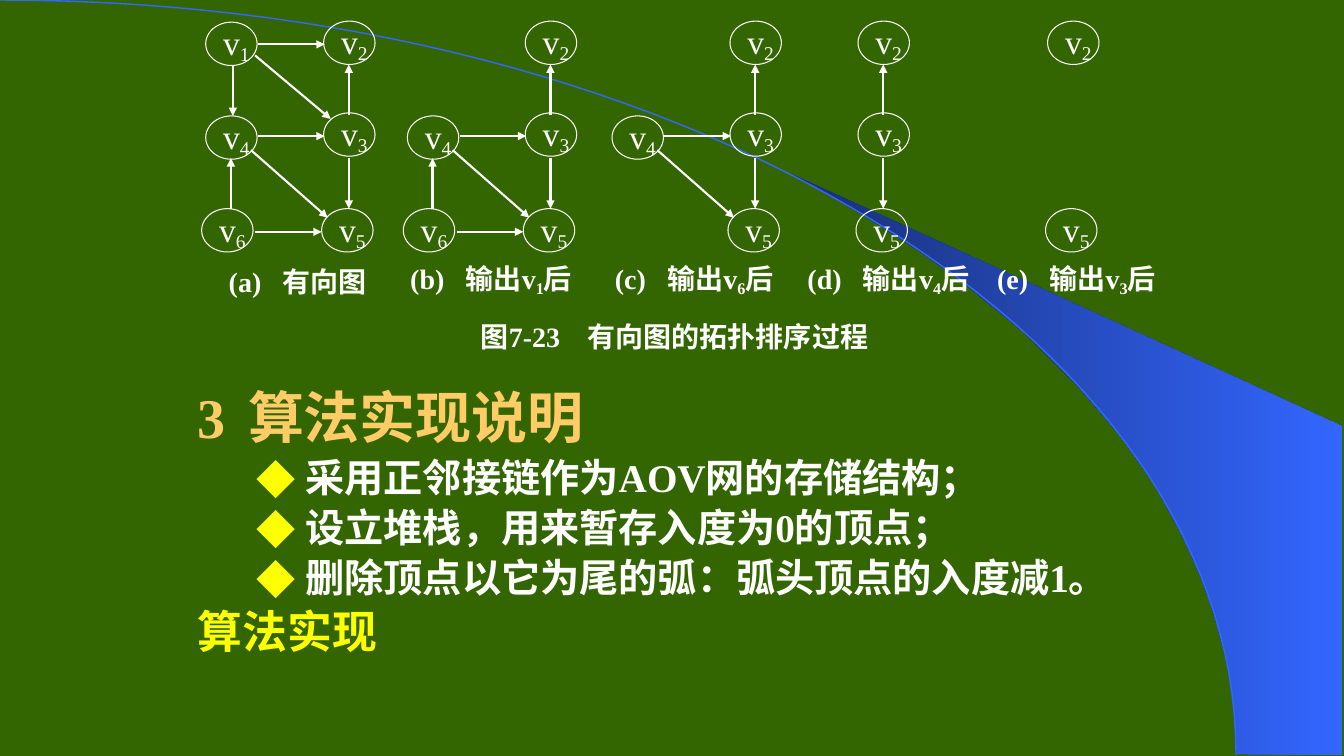
import pptx
import pptx.util
import pptx.dml.color
import pptx.enum.shapes
import pptx.enum.text
import pptx.oxml.xmlchemy

Inches = pptx.util.Inches
Pt = pptx.util.Pt
RGB = pptx.dml.color.RGBColor

GREEN = RGB(0x33, 0x66, 0x00)
NAVY = RGB(0x18, 0x2F, 0x76)
BLUE = RGB(0x33, 0x66, 0xFF)
WHITE = RGB(0xFF, 0xFF, 0xFF)
GOLD = RGB(0xFF, 0xCC, 0x66)
YELLOW = RGB(0xFF, 0xFF, 0x00)
FONT = "Times New Roman"
EAST = "Noto Sans CJK SC"

WEDGE = [(12.27, 7.48), (13.31, 7.49), (13.31, 4.23), (7.86, 1.73),
         (8.32, 1.99), (8.7, 2.22), (9.13, 2.5), (9.55, 2.8),
         (10.16, 3.3), (10.7, 3.84), (11.1, 4.31), (11.44, 4.79),
         (11.71, 5.28), (11.91, 5.72), (12.04, 6.09), (12.17, 6.56),
         (12.23, 6.96)]
CURVE = [(0, 0), (6.77, 0), (12.26, 3.35), (12.26, 7.49)]
STEPS = 60

NODES = {1: (0.04, 0.22), 2: (1.21, 0.21), 3: (1.21, 1.12),
         4: (0.04, 1.15), 5: (1.19, 2.07), 6: (0, 2.07)}
EDGES = {(1, 4): (0.31, 0.65, 0.31, 1.15), (3, 5): (1.46, 1.57, 1.46, 2.07),
         (6, 4): (0.29, 2.07, 0.29, 1.57), (3, 2): (1.46, 1.14, 1.46, 0.64),
         (6, 5): (0.53, 2.3, 1.19, 2.3), (1, 2): (0.56, 0.44, 1.22, 0.44),
         (1, 3): (0.53, 0.55, 1.28, 1.18), (4, 5): (0.49, 1.49, 1.25, 2.16),
         (4, 3): (0.56, 1.35, 1.22, 1.35)}
GRAPHS = [(2, (1, 2, 3, 4, 5, 6)), (4, (2, 3, 4, 5, 6)),
          (6.03, (2, 3, 4, 5)), (7.3, (2, 3, 5)), (9.18, (2, 5))]
LABELS = [(2.17, 2.62, 1.95, 0.53, ["(a)\t有向图"]),
          (3.97, 2.6, 1.95, 0.55, ["(b)\t输出v", "1", "后"]),
          (6, 2.6, 1.95, 0.52, ["(c)\t输出v", "6", "后"]),
          (7.91, 2.6, 1.95, 0.55, ["(d)\t输出v", "4", "后"]),
          (9.79, 2.6, 1.95, 0.52, ["(e)\t输出v", "3", "后"]),
          (4.67, 3.16, 4.25, 1.06, ["图7-23\t有向图的拓扑排序过程"])]
NOTES = [("3\t算法实现说明", 40, GOLD, False),
         ("采用正邻接链作为AOV网的存储结构；", 28, WHITE, True),
         ("设立堆栈，用来暂存入度为0的顶点；", 28, WHITE, True),
         ("删除顶点以它为尾的弧：弧头顶点的入度减1。", 28, WHITE, True),
         ("算法实现", 32, YELLOW, False)]


def add_xml(owner, tag, **attrs):
    item = pptx.oxml.xmlchemy.OxmlElement(tag)
    for key, value in attrs.items():
        item.set(key, str(value))
    owner.append(item)
    return item


def add_tab(para, pos):
    tabs = add_xml(para._p.get_or_add_pPr(), "a:tabLst")
    add_xml(tabs, "a:tab", pos=Inches(pos), algn="l")


def set_font(para, size, color, bold):
    font = para.font
    font.name, font.size, font.bold = FONT, Pt(size), bold
    font.color.rgb = color
    for run in para.runs:
        add_xml(run._r.get_or_add_rPr(), "a:ea", typeface=EAST)


def add_runs(para, parts):
    for index, part in enumerate(parts):
        run = para.add_run()
        run.text = part
        if index == 1:
            run.font._element.set("baseline", "-18000")


def add_free(shapes, points, close):
    spots = [(Inches(x), Inches(y)) for x, y in points]
    form = shapes.build_freeform(*spots[0])
    form.add_line_segments(spots[1:], close=close)
    shape = form.convert_to_shape()
    shape.shadow.inherit = False
    return shape


def curve_at(t):
    weights = ((1 - t) ** 3, 3 * t * (1 - t) ** 2, 3 * t * t * (1 - t), t ** 3)
    return tuple(sum(w * p[axis] for w, p in zip(weights, CURVE)) for axis in (0, 1))


def add_back(slide):
    fill = slide.background.fill
    fill.solid()
    fill.fore_color.rgb = GREEN
    wedge = add_free(slide.shapes, WEDGE, True)
    wedge.fill.gradient()
    wedge.fill.gradient_angle = 0
    for stop, color, pos in zip(wedge.fill.gradient_stops, (NAVY, BLUE), (0, 1)):
        stop.color.rgb = color
        stop.position = pos
    wedge.line.fill.background()
    arc = add_free(slide.shapes, [curve_at(i / STEPS) for i in range(STEPS + 1)], False)
    arc.fill.background()
    arc.line.color.rgb = BLUE
    arc.line.width = Pt(1)


def add_node(shapes, name, x, y):
    node = shapes.add_shape(pptx.enum.shapes.MSO_SHAPE.OVAL,
                            Inches(x), Inches(y), Inches(0.51), Inches(0.43))
    node.shadow.inherit = False
    node.fill.background()
    node.line.color.rgb = WHITE
    node.line.width = Pt(0.75)
    frame = node.text_frame
    frame.word_wrap = False
    frame.vertical_anchor = pptx.enum.text.MSO_ANCHOR.MIDDLE
    para = frame.paragraphs[0]
    para.alignment = pptx.enum.text.PP_ALIGN.LEFT
    add_runs(para, ["v", str(name)])
    set_font(para, 24, WHITE, False)


def add_edge(shapes, left, ends):
    x1, y1, x2, y2 = ends
    edge = shapes.add_connector(pptx.enum.shapes.MSO_CONNECTOR.STRAIGHT,
                                Inches(left + x1), Inches(y1),
                                Inches(left + x2), Inches(y2))
    edge.line.color.rgb = WHITE
    edge.line.width = Pt(1.5)
    add_xml(edge.line._get_or_add_ln(), "a:tailEnd", type="triangle")
    add_xml(edge._element.spPr, "a:effectLst")


def add_label(shapes, x, y, width, tab, parts):
    box = shapes.add_textbox(Inches(x), Inches(y), Inches(width), Inches(0.35))
    frame = box.text_frame
    frame.word_wrap = True
    frame.vertical_anchor = pptx.enum.text.MSO_ANCHOR.MIDDLE
    para = frame.paragraphs[0]
    add_tab(para, tab)
    add_runs(para, parts)
    set_font(para, 20, WHITE, True)


def add_notes(body):
    body.left, body.top = Inches(1.86), Inches(3.82)
    body.width, body.height = Inches(9.61), Inches(3.39)
    frame = body.text_frame
    frame.auto_size = pptx.enum.text.MSO_AUTO_SIZE.NONE
    for index, (text, size, color, marked) in enumerate(NOTES):
        para = frame.add_paragraph() if index else frame.paragraphs[0]
        para.line_spacing = 0.9
        para.space_before = Pt(size * 0.2 if index else 0)
        props = para._p.get_or_add_pPr()
        props.set("marL", str(Inches(1.07 if marked else 0)))
        props.set("indent", str(Inches(-0.49 if marked else 0)))
        if marked:
            para.level = 1
            tint = add_xml(props, "a:buClr")
            add_xml(tint, "a:srgbClr", val=YELLOW)
            add_xml(props, "a:buFont", typeface=EAST)
            add_xml(props, "a:buChar", char="◆")
        else:
            add_xml(props, "a:buNone")
        if "\t" in text:
            add_tab(para, 0.7)
        add_runs(para, [text])
        set_font(para, size, color, True)


def main():
    deck = pptx.Presentation()
    deck.slide_width, deck.slide_height = Inches(13.33), Inches(7.5)
    slide = deck.slides.add_slide(deck.slide_layouts[1])
    title = slide.shapes.title._element
    title.getparent().remove(title)
    add_back(slide)
    add_notes(slide.placeholders[1])
    for left, names in GRAPHS:
        for name in names:
            x, y = NODES[name]
            add_node(slide.shapes, name, left + x, y)
        for pair, ends in EDGES.items():
            if set(pair) <= set(names):
                add_edge(slide.shapes, left, ends)
    for label in LABELS:
        add_label(slide.shapes, *label)
    deck.save("out.pptx")


if __name__ == "__main__":
    main()
